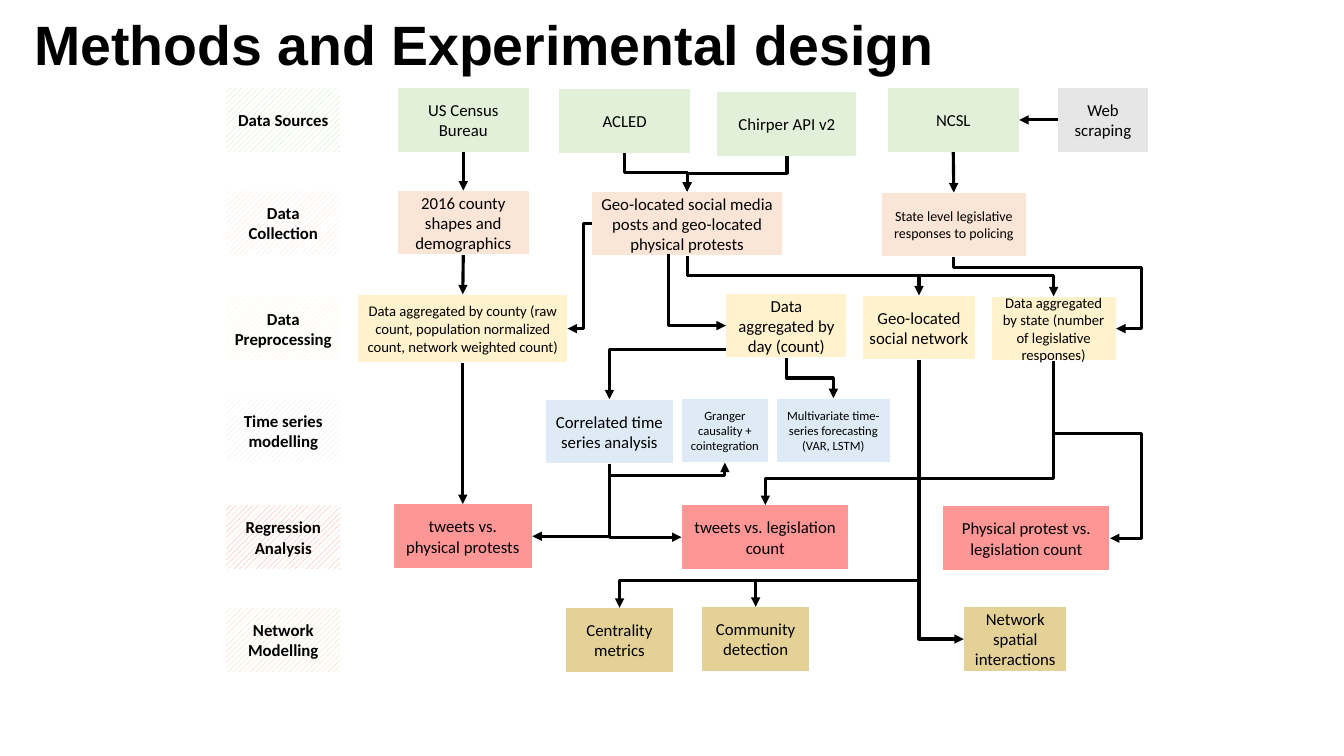
from collections import namedtuple

from lxml.etree import SubElement
from pptx import Presentation
from pptx.dml.color import RGBColor
from pptx.enum.dml import MSO_PATTERN
from pptx.enum.shapes import MSO_CONNECTOR, MSO_SHAPE
from pptx.enum.text import MSO_ANCHOR, MSO_AUTO_SIZE, PP_ALIGN
from pptx.oxml.ns import qn
from pptx.util import Inches, Pt

BLACK = RGBColor(0x00, 0x00, 0x00)
WHITE = RGBColor(0xFF, 0xFF, 0xFF)
GREEN = RGBColor(0xE2, 0xF0, 0xD9)
LEAF = RGBColor(0xC5, 0xE0, 0xB4)
PEACH = RGBColor(0xFB, 0xE5, 0xD6)
YELLOW = RGBColor(0xFF, 0xF2, 0xCC)
BLUE = RGBColor(0xDE, 0xEB, 0xF7)
RED = RGBColor(0xFF, 0x00, 0x00)
PINK = RGBColor(0xFF, 0x96, 0x96)
GOLD = RGBColor(0xBF, 0x90, 0x00)
SAND = RGBColor(0xE5, 0xD1, 0x96)
GRAY = RGBColor(0xE7, 0xE6, 0xE6)

ROW_HEIGHT = 0.64
LABEL_LEFT, LABEL_WIDTH = 2.24, 1.14

Stage = namedtuple("Stage", "label top hatch color opacity steps")
Step = namedtuple("Step", "name text left drop width size height color",
                  defaults=(12, ROW_HEIGHT, None))

STAGES = [
    Stage("Data Sources", 0.87, LEAF, GREEN, 100, [
        Step("census", "US Census Bureau", 3.94, 0, 1.31),
        Step("acled", "ACLED", 5.54, 0.01, 1.31),
        Step("posts", "Chirper API v2", 7.11, 0.04, 1.39),
        Step("ncsl", "NCSL", 8.8, 0, 1.31),
        Step("scraping", "Web scraping", 10.49, 0, 0.9, color=GRAY)]),
    Stage("Data Collection", 1.89, PEACH, PEACH, 100, [
        Step("shapes", "2016 county shapes and demographics", 3.94, 0, 1.31),
        Step("geo", "Geo-located social media posts and geo-located physical protests",
             5.87, 0.01, 1.89),
        Step("responses", "State level legislative responses to policing",
             8.74, 0.02, 1.44, 10)]),
    Stage("Data Preprocessing", 2.94, YELLOW, YELLOW, 100, [
        Step("county", "Data aggregated by county (raw count, population normalized "
             "count, network weighted count)", 3.55, -0.02, 2.08, 10.5, 0.68),
        Step("day", "Data aggregated by day (count)", 7.2, -0.03, 1.2),
        Step("network", "Geo-located social network", 8.55, -0.01, 1.13),
        Step("state", "Data aggregated by state (number of legislative responses)",
             9.83, 0, 1.24, 10.5)]),
    Stage("Time series modelling", 3.95, BLUE, BLUE, 100, [
        Step("correlated", "Correlated time series analysis", 5.41, 0.01, 1.27),
        Step("granger", "Granger causality + cointegration", 6.76, 0, 0.86, 9),
        Step("forecast", "Multivariate time-series forecasting (VAR, LSTM)",
             7.7, 0, 1.13, 9)]),
    Stage("Regression Analysis", 5.01, PINK, RED, 41, [
        Step("protests", "tweets vs. physical protests", 3.9, -0.01, 1.38),
        Step("legislation", "tweets vs. legislation count", 6.76, 0, 1.66),
        Step("physical", "Physical protest vs. legislation count", 9.35, 0.01, 1.66)]),
    Stage("Network Modelling", 6.03, SAND, GOLD, 41, [
        Step("centrality", "Centrality metrics", 5.61, 0, 1.07),
        Step("community", "Community detection", 6.96, -0.01, 1.07),
        Step("spatial", "Network spatial interactions", 9.56, -0.01, 1.02)]),
]


def add_title(slide, left, top, width, height):
    """Place and format the title placeholder."""
    title = slide.shapes.title
    title.left, title.top = Inches(left), Inches(top)
    title.width, title.height = Inches(width), Inches(height)
    frame = title.text_frame
    frame.text = "Methods and Experimental design"
    frame.auto_size = MSO_AUTO_SIZE.NONE
    frame.vertical_anchor = MSO_ANCHOR.MIDDLE
    paragraph = frame.paragraphs[0]
    paragraph.alignment = PP_ALIGN.LEFT
    paragraph.line_spacing = 0.8
    font = paragraph.font
    font.name, font.size, font.bold = "Arial", Pt(39.6), True
    font.color.rgb = BLACK


def add_box(slide, text, left, top, width, height, size=12, bold=False):
    """Add a centred text box shape with a thin white outline."""
    box = slide.shapes.add_shape(MSO_SHAPE.RECTANGLE, Inches(left), Inches(top),
                                 Inches(width), Inches(height))
    box.shadow.inherit = False
    box.line.color.rgb = WHITE
    box.line.width = Pt(0.75)
    frame = box.text_frame
    frame.text = text
    frame.word_wrap = True
    frame.vertical_anchor = MSO_ANCHOR.MIDDLE
    frame.margin_left = frame.margin_right = Inches(0.07)
    frame.margin_top = frame.margin_bottom = Inches(0.04)
    paragraph = frame.paragraphs[0]
    paragraph.alignment = PP_ALIGN.CENTER
    font = paragraph.font
    font.name, font.size, font.bold = "Calibri", Pt(size), bold
    font.color.rgb = BLACK
    return box


def add_stage(slide, stage):
    """Add a hatched row label and its steps, returned by name."""
    label = add_box(slide, stage.label, LABEL_LEFT, stage.top, LABEL_WIDTH,
                    ROW_HEIGHT, bold=True)
    label.fill.patterned()
    label.fill.pattern = MSO_PATTERN.WIDE_UPWARD_DIAGONAL
    label.fill.fore_color.rgb = stage.hatch
    label.fill.back_color.rgb = WHITE
    boxes = {}
    for step in stage.steps:
        box = add_box(slide, step.text, step.left, stage.top + step.drop,
                      step.width, step.height, step.size)
        box.fill.solid()
        box.fill.fore_color.rgb = step.color or stage.color
        if stage.opacity < 100:
            color = box._element.spPr.find(qn("a:solidFill"))[0]
            SubElement(color, qn("a:alpha"), val=str(stage.opacity * 1000))
        boxes[step.name] = box
    return boxes


def side(box, name):
    """Return the midpoint of one side of a box, in inches."""
    across, down = {"left": (0, 0.5), "right": (1, 0.5),
                    "top": (0.5, 0), "bottom": (0.5, 1)}[name]
    return ((box.left + box.width * across) / Inches(1),
            (box.top + box.height * down) / Inches(1))


def add_arrow(slide, start, end, kind=MSO_CONNECTOR.STRAIGHT):
    """Add a thick black connector that ends in an arrowhead."""
    arrow = slide.shapes.add_connector(kind, *(Inches(value) for value in start + end))
    arrow.line.color.rgb = BLACK
    arrow.line.width = Pt(2.25)
    properties = arrow._element.spPr
    SubElement(properties.find(qn("a:ln")), qn("a:tailEnd"), type="triangle")
    SubElement(properties, qn("a:effectLst"))
    return arrow


def add_elbow(slide, start, end, bends=(), vertical=True):
    """Add a bent arrow; bends are the slide coordinates where it turns."""
    (x1, y1), (x2, y2) = start, end
    run, rise = x2 - x1, y2 - y1
    if vertical:
        middle_x, middle_y = (x1 + x2) / 2, (y1 + y2) / 2
        start = (middle_x - rise / 2, middle_y + run / 2)
        end = (middle_x + rise / 2, middle_y - run / 2)
    arrow = add_arrow(slide, start, end, MSO_CONNECTOR.ELBOW)
    properties = arrow._element.spPr
    if vertical:
        properties.find(qn("a:xfrm")).set("rot", "5400000")
    geometry = properties.find(qn("a:prstGeom"))
    geometry.set("prst", f"bentConnector{len(bends) + 2}")
    guides = geometry.find(qn("a:avLst"))
    if guides is None:
        guides = SubElement(geometry, qn("a:avLst"))
    axes = [(y1, rise), (x1, run)] if vertical else [(x1, run), (y1, rise)]
    for number, (bend, (origin, length)) in enumerate(zip(bends, axes), 1):
        value = round((bend - origin) / length * 100000)
        SubElement(guides, qn("a:gd"), name=f"adj{number}", fmla=f"val {value}")


def add_flow(slide, boxes):
    """Connect the steps with straight and bent arrows."""
    for source, source_side, target, target_side in [
            ("scraping", "left", "ncsl", "right"), ("census", "bottom", "shapes", "top"),
            ("shapes", "bottom", "county", "top"), ("county", "bottom", "protests", "top"),
            ("ncsl", "bottom", "responses", "top")]:
        add_arrow(slide, side(boxes[source], source_side), side(boxes[target], target_side))
    for source, target, target_side, bends in [
            ("acled", "geo", "top", [1.71]), ("posts", "geo", "top", [1.72]),
            ("geo", "network", "top", [2.73]), ("geo", "state", "top", [2.73]),
            ("responses", "state", "right", [2.65, 11.32]),
            ("day", "forecast", "top", [3.75]),
            ("state", "physical", "right", [4.3, 11.32]),
            ("state", "legislation", "top", [4.75]),
            ("network", "centrality", "top", [5.76]),
            ("network", "community", "top", [5.76]),
            ("network", "spatial", "left", []),
            ("correlated", "protests", "right", []),
            ("correlated", "legislation", "left", []),
            ("correlated", "granger", "bottom", [4.72])]:
        add_elbow(slide, side(boxes[source], "bottom"),
                  side(boxes[target], target_side), bends)
    add_elbow(slide, (6.63, 2.52), side(boxes["day"], "left"))
    add_elbow(slide, side(boxes["geo"], "left"), side(boxes["county"], "right"),
              [5.79], vertical=False)
    add_elbow(slide, (7.2, 3.47), side(boxes["correlated"], "top"), vertical=False)


def main():
    """Build the slide and save it."""
    presentation = Presentation()
    presentation.slide_width, presentation.slide_height = Inches(13.33), Inches(7.5)
    slide = presentation.slides.add_slide(presentation.slide_layouts[5])
    add_title(slide, 0.24, 0.17, 10.01, 0.64)
    boxes = {}
    for stage in STAGES:
        boxes.update(add_stage(slide, stage))
    add_flow(slide, boxes)
    presentation.save("out.pptx")


if __name__ == "__main__":
    main()
